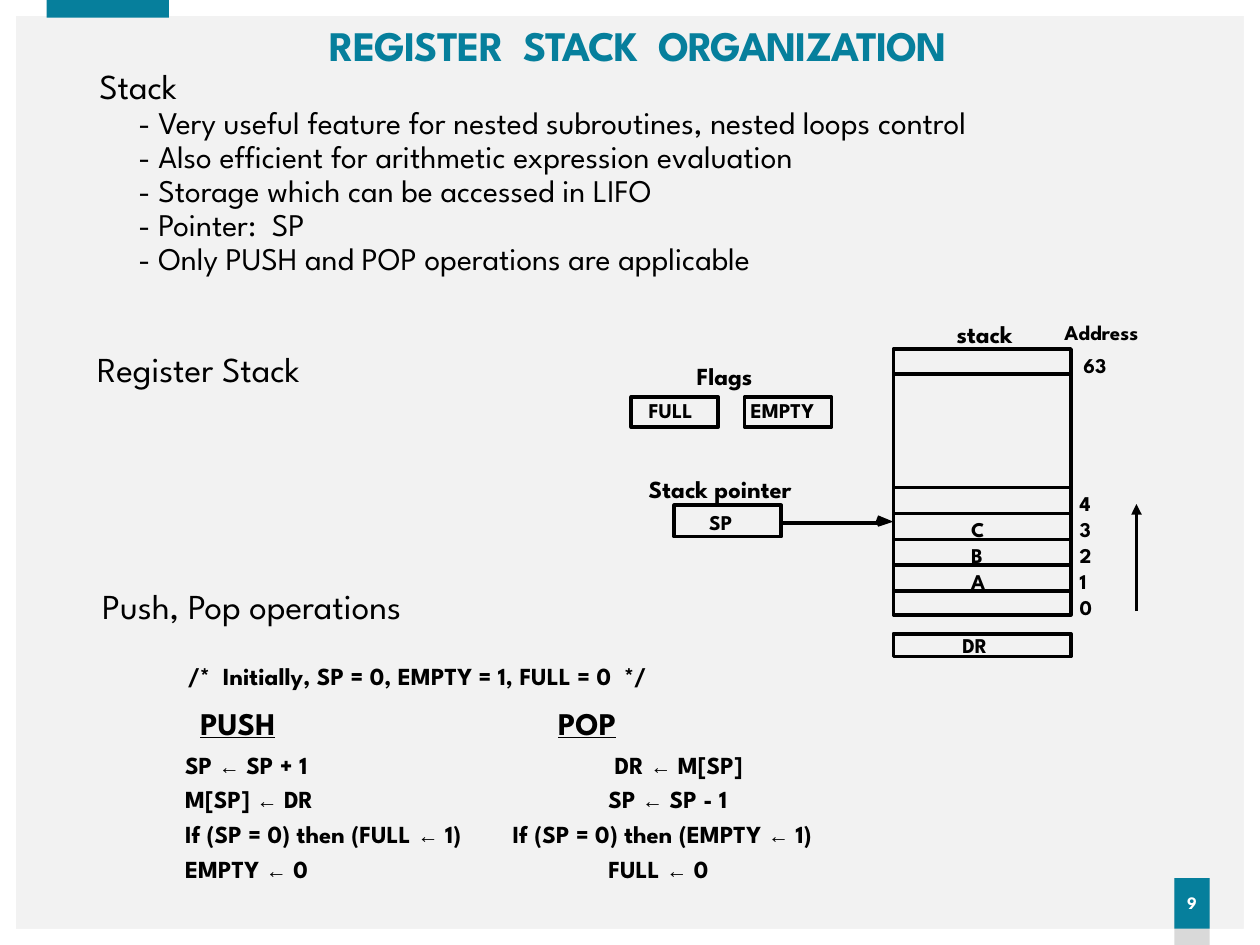
import pptx
import pptx.util
import pptx.dml.color
import pptx.enum.shapes
import pptx.enum.text
import pptx.oxml
import pptx.oxml.ns
from pptx.util import Inches

COLORS = {"paper": "F2F2F2", "white": "FFFFFF", "teal": "067F9C", "gray": "D9D9D9", "ink": "000000"}
PRESET = pptx.enum.shapes.MSO_SHAPE
ALIGN = pptx.enum.text.PP_ALIGN
TIGHT = (0.07, 0.03)
ROOMY = (0.1, 0.05)


class StackSlide:
    """Holds the style and the current slide, and draws each kind of element."""

    font = "League Spartan"
    arrow_font = "Arial"
    line_width = 2

    def __init__(self, deck):
        self.slide = deck.slides.add_slide(deck.slide_layouts[6])
        self.paint(self.slide.background.fill, "paper")

    def paint(self, fill, color):
        fill.solid()
        fill.fore_color.rgb = pptx.dml.color.RGBColor.from_string(COLORS[color])

    def box(self, left, top, width, height, fill=None, preset=PRESET.RECTANGLE):
        box = self.slide.shapes.add_shape(preset, Inches(left), Inches(top), Inches(width), Inches(height))
        box.shadow.inherit = False
        if fill:
            self.paint(box.fill, fill)
            box.line.fill.background()
        else:
            box.fill.background()
            self.paint(box.line.fill, "ink")
            box.line.width = pptx.util.Pt(self.line_width)
        return box

    def line(self, x1, y1, x2, y2, arrow=False):
        line = self.slide.shapes.add_connector(
            pptx.enum.shapes.MSO_CONNECTOR.STRAIGHT, Inches(x1), Inches(y1), Inches(x2), Inches(y2))
        self.paint(line.line.fill, "ink")
        line.line.width = pptx.util.Pt(self.line_width)
        properties = line._element.spPr
        if arrow:
            properties.find(pptx.oxml.ns.qn("a:ln")).append(pptx.oxml.parse_xml(
                f'<a:tailEnd {pptx.oxml.ns.nsdecls("a")} type="triangle"/>'))
        properties.append(pptx.oxml.parse_xml(f'<a:effectLst {pptx.oxml.ns.nsdecls("a")}/>'))

    def outline(self, points):
        start, *others = [(Inches(x), Inches(y)) for x, y in points]
        builder = self.slide.shapes.build_freeform(*start)
        builder.add_line_segments(others, close=True)
        shape = builder.convert_to_shape()
        shape.shadow.inherit = False
        self.paint(shape.fill, "ink")
        shape.line.fill.background()

    def frame(self, shape, inset, wrap=False, anchor=pptx.enum.text.MSO_ANCHOR.TOP):
        frame = shape.text_frame
        frame.word_wrap = wrap
        frame.vertical_anchor = anchor
        frame.margin_left = frame.margin_right = Inches(inset[0])
        frame.margin_top = frame.margin_bottom = Inches(inset[1])
        return frame

    def paragraph(self, frame, text, size, bold=False, color="ink", align=ALIGN.LEFT,
                  spacing=0.9, before=0, indent=0, tab=None, underline=None, tracking=None):
        first = frame.paragraphs[0]
        paragraph = frame.add_paragraph() if first.runs else first
        paragraph.alignment = align
        paragraph.line_spacing = spacing
        paragraph.space_before = pptx.util.Pt(before)
        properties = paragraph._p.get_or_add_pPr()
        if indent:
            properties.set("marL", str(Inches(indent)))
            properties.set("indent", "0")
        if tab:
            properties.append(pptx.oxml.parse_xml(
                f'<a:tabLst {pptx.oxml.ns.nsdecls("a")}><a:tab pos="{Inches(tab)}" algn="l"/></a:tabLst>'))
        for piece in text.replace("←", "|←|").split("|"):
            run = paragraph.add_run()
            run.text = piece
            is_arrow = piece == "←"
            run.font.name = self.arrow_font if is_arrow else self.font
            run.font.size = pptx.util.Pt(size - 2 if is_arrow else size)
            run.font.bold = bold
            run.font.underline = underline
            self.paint(run.font.fill, color)
            if tracking:
                run._r.get_or_add_rPr().set("spc", str(tracking))

    def text_box(self, left, top, width, height, inset=ROOMY, wrap=False,
                 anchor=pptx.enum.text.MSO_ANCHOR.TOP):
        box = self.slide.shapes.add_textbox(Inches(left), Inches(top), Inches(width), Inches(height))
        return self.frame(box, inset, wrap, anchor)

    def label(self, text, left, top, width, height=0.28, size=12, bold=True, inset=ROOMY, **style):
        self.paragraph(self.text_box(left, top, width, height, inset), text, size, bold, **style)


def draw_page(page):
    middle = pptx.enum.text.MSO_ANCHOR.MIDDLE
    border = page.box(0, 0, 10, 7.5, "white", PRESET.FRAME)
    border.adjustments[0] = 0.017
    page.box(0.37, 0, 0.97, 0.14, "teal")
    page.box(9.32, 6.97, 0.28, 0.53, "gray")
    badge = page.frame(page.box(9.32, 6.97, 0.28, 0.4, "teal"), (0, 0.05), True, middle)
    page.paragraph(badge, "9", 10, True, "white", ALIGN.CENTER, before=10)
    title = page.text_box(0.92, 0.17, 8.29, 0.42, TIGHT, True, middle)
    page.paragraph(title, "REGISTER  STACK  ORGANIZATION", 24, True, "teal", ALIGN.CENTER, tracking=-60)


def draw_notes(page):
    features = page.text_box(0.69, 0.5, 8.71, 1.75, wrap=True)
    page.paragraph(features, "Stack", 20)
    for feature in ("Very useful feature for nested subroutines, nested loops control",
                    "Also efficient for arithmetic expression evaluation",
                    "Storage which can be accessed in LIFO",
                    "Pointer:  SP",
                    "Only PUSH and POP operations are applicable"):
        page.paragraph(features, f"- {feature}", 18, indent=0.31)

    page.label("Register Stack", 0.7, 2.78, 1.75, 0.34, 20, False, TIGHT, spacing=0.85)
    page.label("Push, Pop operations", 0.74, 4.65, 2.79, 0.36, 20, False, TIGHT)
    page.label("/*  Initially, SP = 0, EMPTY = 1, FULL = 0  */", 1.42, 5.24, 4.01, 0.27, 14, inset=TIGHT)
    page.label("PUSH", 1.52, 5.59, 0.83, 0.33, 18, inset=TIGHT, underline=True)
    page.label("POP", 4.36, 5.59, 0.67, 0.33, 18, inset=TIGHT, underline=True)

    operations = page.text_box(1.37, 5.88, 5.68, 1.2, wrap=True)
    for push, pop, tab in (("SP ← SP + 1", "DR ← M[SP]", 3.41),
                           ("M[SP] ← DR", "SP ← SP - 1", 3.36),
                           ("If (SP = 0) then (FULL ← 1)", "If (SP = 0) then (EMPTY ← 1)", 2.6),
                           ("EMPTY ← 0", "FULL ← 0", 3.36)):
        page.paragraph(operations, f"{push}\t{pop}", 14, True, spacing=1.09, before=1.5, tab=tab)


def draw_diagram(page):
    left, right, lowest_row, highest_row = 7.09, 8.5, 4.69, 3.87
    items = ("", "A", "B", "C", "")
    row_step = (lowest_row - highest_row) / (len(items) - 1)
    page.box(left, 2.77, right - left, 2.11)
    page.line(left, 2.97, right, 2.97)
    for address, item in enumerate(items):
        top = lowest_row - address * row_step
        page.line(left, top, right, top)
        page.label(str(address), 8.47, top, 0.29)
        if item:
            page.label(item, 7.61, top, 0.32)
    page.label("63", 8.5, 2.77, 0.38)
    page.label("Address", 8.35, 2.51, 0.86)
    page.label("stack", 7.47, 2.51, 0.69, 0.31, 14, align=ALIGN.CENTER)
    page.line(9.02, 4.85, 9.02, 4, arrow=True)

    page.box(left, 5.03, right - left, 0.18)
    page.label("DR", 7.54, 4.99, 0.44)

    page.label("Flags", 5.43, 2.84, 0.7, 0.31, 14)
    for flag, box_left, text_left, width in (("FULL", 5.01, 5.05, 0.62), ("EMPTY", 5.91, 5.86, 0.77)):
        page.box(box_left, 3.15, 0.69, 0.24)
        page.label(flag, text_left, 3.13, width)

    page.label("Stack pointer", 5.05, 3.74, 1.43, 0.31, 14)
    page.box(5.35, 4.01, 0.85, 0.25)
    page.label("SP", 5.53, 4.02, 0.42)
    page.line(6.21, 4.15, 6.97, 4.15)
    page.outline([(6.97, 4.09), (left, 4.14), (6.97, 4.18), (6.95, 4.14)])


def main():
    deck = pptx.Presentation()
    deck.slide_width, deck.slide_height = Inches(10), Inches(7.5)
    page = StackSlide(deck)
    draw_page(page)
    draw_notes(page)
    draw_diagram(page)
    deck.save("out.pptx")


if __name__ == "__main__":
    main()
